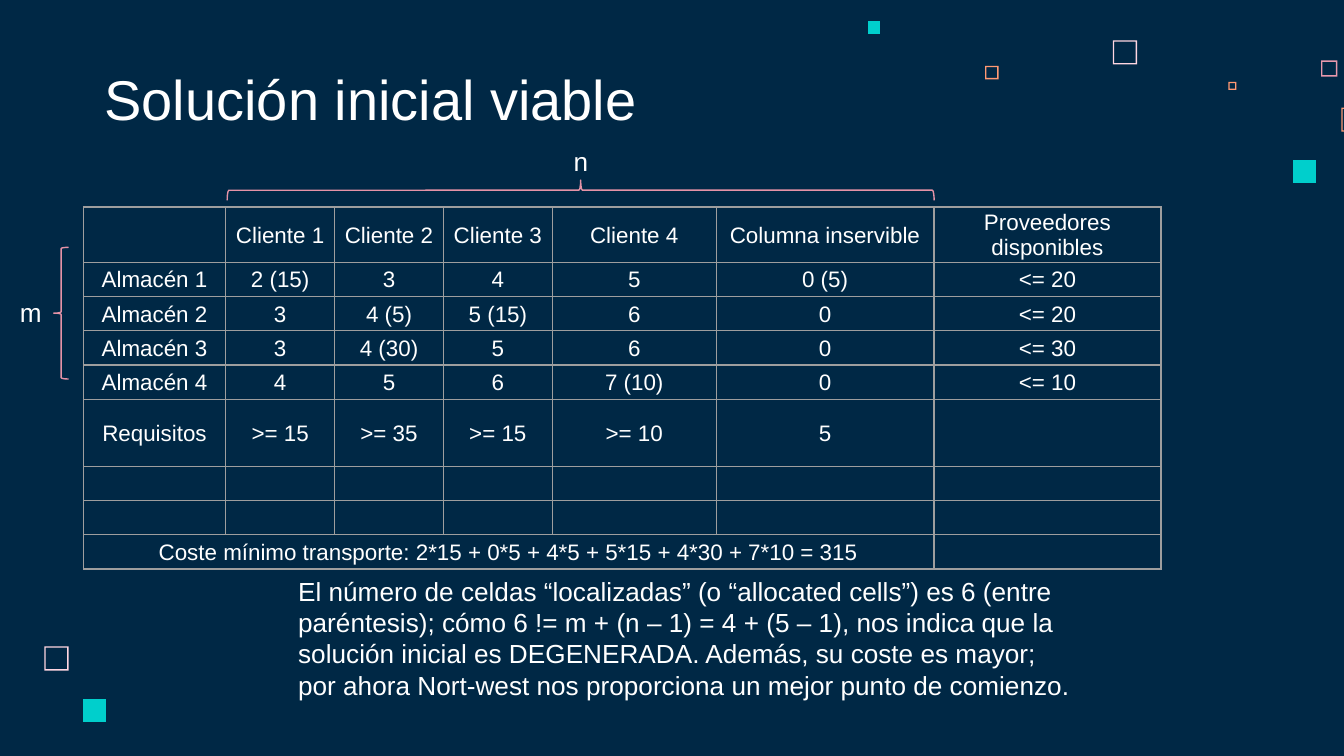
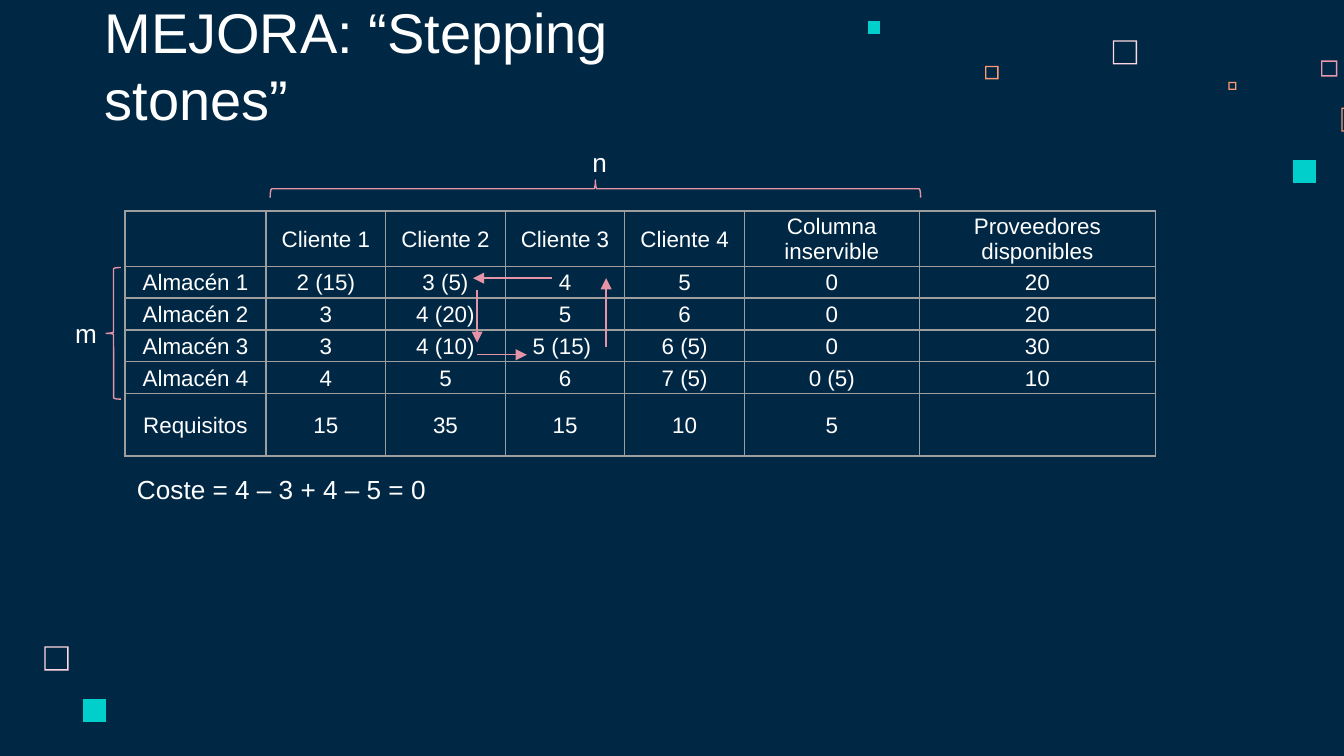
from lxml.etree import SubElement
from pptx import Presentation
from pptx.dml.color import RGBColor
from pptx.enum.shapes import MSO_CONNECTOR as Link, MSO_SHAPE as Shape
from pptx.enum.text import MSO_ANCHOR as Anchor, PP_ALIGN as Align
from pptx.oxml.ns import qn
from pptx.util import Inches, Pt

NAVY = RGBColor(0x00, 0x28, 0x45)
WHITE = RGBColor(0xFF, 0xFF, 0xFF)
TEAL = RGBColor(0x00, 0xCF, 0xCC)
BLUSH = RGBColor(0xFF, 0xD6, 0xE1)
PINK = RGBColor(0xE8, 0x98, 0xAC)
ROSE = RGBColor(0xE5, 0x93, 0xA7)
CORAL = RGBColor(0xFF, 0x99, 0x73)
GREY = RGBColor(0x9E, 0x9E, 0x9E)
FONT = "Arial"
WIDE = 10
HIGH = WIDE * 9 / 16
THIN = Pt(0.75)

# left, top, side, rim (0 = solid), colour
SQUARES = [
    (8.28, 0.3, 0.18, 0.01, BLUSH),
    (9.83, 0.45, 0.12, 0.01, PINK),
    (9.14, 0.61, 0.06, 0.01, CORAL),
    (9.98, 0.8, 0.18, 0.01, CORAL),
    (9.62, 1.19, 0.17, 0, TEAL),
    (7.33, 0.49, 0.1, 0.01, CORAL),
    (6.46, 0.16, 0.09, 0, TEAL),
    (0.33, 4.81, 0.18, 0.01, BLUSH),
    (0.62, 5.2, 0.17, 0, TEAL),
]

HEAD = ["", "Cliente 1", "Cliente 2", "Cliente 3", "Cliente 4",
        "Columna inservible", "Proveedores disponibles"]
BLANK = [""] * len(HEAD)

# Row heights are units of an equal share of "high".
SLIDES = [
    {
        "title": "Solución inicial viable",
        "table": {
            "at": (0.62, 1.54), "high": 2.54,
            "cols": [1.06, 0.81, 0.81, 0.81, 1.22, 1.62, 1.69],
            "units": [1, 1, 1, 1, 1, 1.95, 1, 1, 1],
            "rows": [
                HEAD,
                ["Almacén 1", "2 (15)", "3", "4", "5", "0 (5)", "<= 20"],
                ["Almacén 2", "3", "4 (5)", "5 (15)", "6", "0", "<= 20"],
                ["Almacén 3", "3", "4 (30)", "5", "6", "0", "<= 30"],
                ["Almacén 4", "4", "5", "6", "7 (10)", "0", "<= 10"],
                ["Requisitos", ">= 15", ">= 35", ">= 15", ">= 10", "5", ""],
                BLANK,
                BLANK,
                ["Coste mínimo transporte: 2*15 + 0*5 + 4*5 + 5*15 + 4*30 "
                 "+ 7*10 = 315"] + BLANK[1:],
            ],
            "merge": [(8, 0, 8, 5)],
        },
        "side": (0.4, 1.84, 0.11, 0.98),
        "top": (1.69, 1.34, 5.26, 0.15),
        "notes": [
            ("m", (0.05, 2.16, 5.08, 0.34), Align.LEFT),
            ("n", (4.17, 1.03, 5.08, 0.34), Align.LEFT),
            ("El número de celdas “localizadas” (o “allocated cells”) es 6 "
             "(entre paréntesis); cómo 6 != m + (n – 1) = 4 + (5 – 1), nos "
             "indica que la solución inicial es DEGENERADA. Además, su coste "
             "es mayor; por ahora Nort-west nos proporciona un mejor punto "
             "de comienzo.", (2.12, 4.23, 6.01, 1.04), Align.LEFT),
        ],
        "arrows": [],
    },
    {
        "title": "MEJORA: “Stepping stones”",
        "table": {
            "at": (0.93, 1.57), "high": 1.65,
            "cols": [1.05, 0.89, 0.89, 0.89, 0.89, 1.3, 1.76],
            "units": [1, 1, 1, 1, 1, 1.95],
            "rows": [
                HEAD,
                ["Almacén 1", "2 (15)", "3 (5)", "4", "5", "0", "20"],
                ["Almacén 2", "3", "4 (20)", "5", "6", "0", "20"],
                ["Almacén 3", "3", "4 (10)", "5 (15) ", "6 (5)", "0", "30"],
                ["Almacén 4", "4", "5", "6", "7 (5)", "0 (5)", "10"],
                ["Requisitos", "15", "35", "15", "10", "5", ""],
            ],
            "merge": [],
        },
        "side": (0.79, 1.99, 0.11, 0.98),
        "top": (2.01, 1.34, 4.84, 0.13),
        "notes": [
            ("m", (0.46, 2.31, 5.08, 0.34), Align.LEFT),
            ("n", (4.31, 1.04, 5.08, 0.34), Align.LEFT),
            ("Coste = 4 – 3 + 4 – 5 = 0", (0.9, 3.47, 2.39, 0.34),
             Align.CENTER),
        ],
        "arrows": [
            (4.11, 2.07, 3.52, 2.07),
            (3.55, 2.16, 3.55, 2.55),
            (3.55, 2.64, 3.92, 2.64),
            (4.51, 2.58, 4.51, 2.07),
        ],
    },
]


def inch(*vals):
    return [Inches(v) for v in vals]


def style(par, size, align):
    par.alignment = align
    for run in par.runs:
        run.font.size = Pt(size)
        run.font.name = FONT
        run.font.color.rgb = WHITE


def add_text(slide, text, box, size=14, align=Align.LEFT, anchor=Anchor.TOP,
             pad=(0.1, 0.05)):
    frame = slide.shapes.add_textbox(*inch(*box)).text_frame
    frame.word_wrap = True
    frame.vertical_anchor = anchor
    frame.margin_left = frame.margin_right = Inches(pad[0])
    frame.margin_top = frame.margin_bottom = Inches(pad[1])
    frame.text = text
    style(frame.paragraphs[0], size, align)


def add_square(slide, left, top, side, rim, color):
    """Draw a solid square, or a hollow one when it has a rim."""
    left, top, side, rim = inch(left, top, side, rim)
    right, low = left + side, top + side
    pen = slide.shapes.build_freeform(left, top)
    pen.add_line_segments([(left, low), (right, low), (right, top)])
    if rim:
        l, t, r, b = left + rim, top + rim, right - rim, low - rim
        pen.move_to(r, t)
        pen.add_line_segments([(r, b), (l, b), (l, t)])
    shape = pen.convert_to_shape()
    shape.shadow.inherit = False
    shape.fill.solid()
    shape.fill.fore_color.rgb = color
    shape.line.fill.background()


def add_brace(slide, left, top, wide, high, turn=False):
    """Draw a brace in the given box; a turned one opens downwards."""
    if turn:
        left, top = left + (wide - high) / 2, top + (high - wide) / 2
        wide, high = high, wide
    brace = slide.shapes.add_shape(Shape.LEFT_BRACE,
                                   *inch(left, top, wide, high))
    brace.rotation = 90 if turn else 0
    brace.shadow.inherit = False
    brace.fill.background()
    brace.line.color.rgb = ROSE
    brace.line.width = THIN


def add_arrow(slide, ends):
    arrow = slide.shapes.add_connector(Link.STRAIGHT, *inch(*ends))
    arrow.line.color.rgb = ROSE
    arrow.line.width = THIN
    SubElement(arrow.line._get_or_add_ln(), qn("a:tailEnd"), type="triangle")
    SubElement(arrow._element.spPr, qn("a:effectLst"))


def fill_cell(cell, text):
    cell.margin_left = cell.margin_right = cell.margin_top = Inches(0.01)
    cell.margin_bottom = 0
    cell.vertical_anchor = Anchor.MIDDLE
    cell.text = text
    par = cell.text_frame.paragraphs[0]
    style(par, 12, Align.CENTER)
    SubElement(par._p, qn("a:endParaRPr"), sz="1200")
    props = cell._tc.get_or_add_tcPr()
    for edge in "LRTB":
        line = SubElement(props, qn("a:ln" + edge), w=str(THIN))
        paint = SubElement(line, qn("a:solidFill"))
        SubElement(paint, qn("a:srgbClr"), val=str(GREY))
    cell.fill.background()


def add_grid(slide, at, high, cols, units, rows, merge):
    table = slide.shapes.add_table(
        len(rows), len(cols), *inch(*at, sum(cols), high)).table
    table.first_row = table.horz_banding = False
    for col, wide in zip(table.columns, cols):
        col.width = Inches(wide)
    for r, (unit, row) in enumerate(zip(units, rows)):
        table.rows[r].height = Inches(high * unit / sum(units))
        for c, text in enumerate(row):
            fill_cell(table.cell(r, c), text)
    for r1, c1, r2, c2 in merge:
        table.cell(r1, c1).merge(table.cell(r2, c2))


def add_slide(deck, data):
    slide = deck.slides.add_slide(deck.slide_layouts[6])
    slide.background.fill.solid()
    slide.background.fill.fore_color.rgb = NAVY
    for square in SQUARES:
        add_square(slide, *square)
    add_text(slide, data["title"], (0.68, 0.45, 5.17, 0.63), size=30,
             anchor=Anchor.BOTTOM, pad=(0.1, 0.1))
    add_grid(slide, **data["table"])
    add_brace(slide, *data["side"])
    add_brace(slide, *data["top"], turn=True)
    for text, box, align in data["notes"]:
        add_text(slide, text, box, align=align)
    for ends in data["arrows"]:
        add_arrow(slide, ends)


def main():
    deck = Presentation()
    deck.slide_width, deck.slide_height = inch(WIDE, HIGH)
    for data in SLIDES:
        add_slide(deck, data)
    deck.save("out.pptx")


if __name__ == "__main__":
    main()
